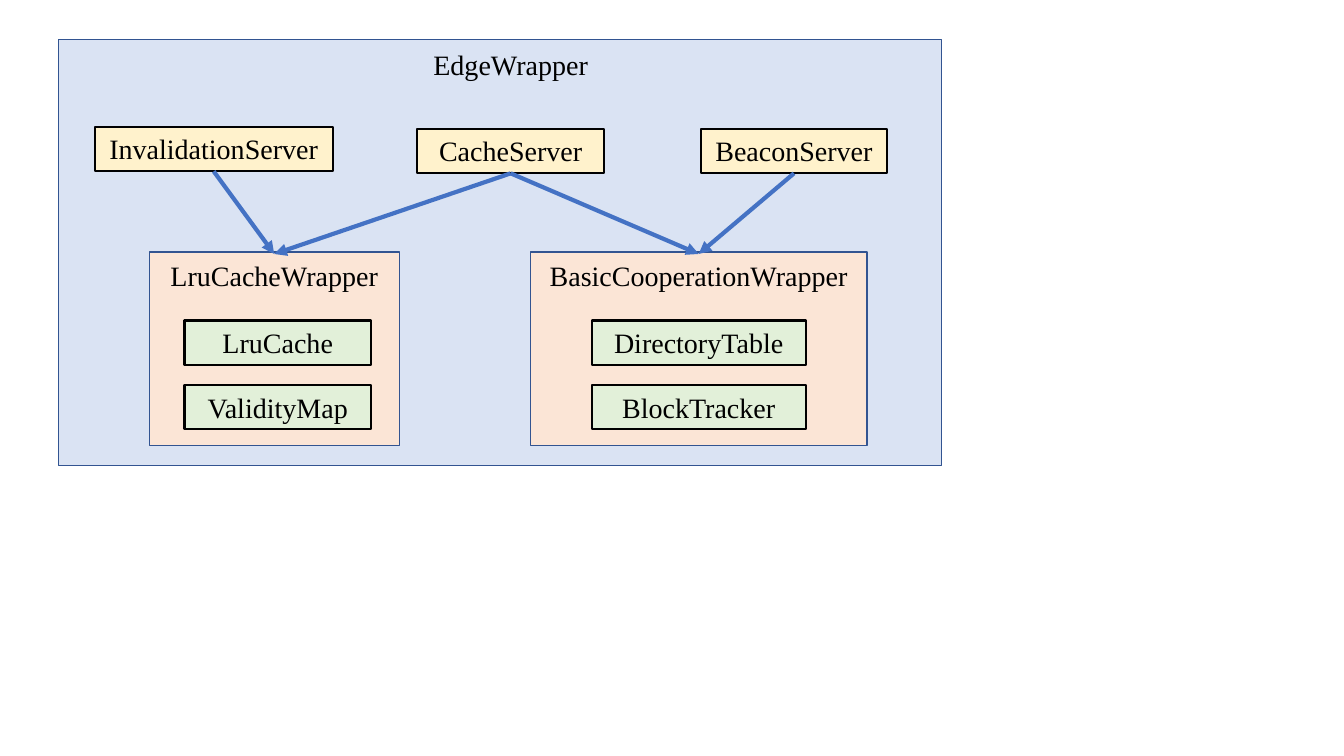
from dataclasses import dataclass

from lxml import etree
from pptx import Presentation
from pptx import util as u
from pptx.dml.color import RGBColor
from pptx.enum import shapes, text
from pptx.oxml.ns import qn
from pptx.shapes.base import BaseShape
from pptx.slide import Slide

COLOURS = {
    "edge": "DAE3F3",
    "server": "FFF2CC",
    "wrapper": "FBE5D6",
    "structure": "E2F0D9",
    "frame": "325491",
    "ink": "000000",
    "arrow": "4472C4",
}
FRAME_FORMAT = {
    "word_wrap": True,
    "auto_size": text.MSO_AUTO_SIZE.SHAPE_TO_FIT_TEXT,
    "vertical_anchor": text.MSO_ANCHOR.TOP,
}
FONT_FORMAT = {"name": "Times New Roman", "size": u.Pt(20)}
LABEL_HEIGHT = 0.44
TITLE_OFFSET = 0.02
STRUCTURE_OFFSET = 0.68
STRUCTURE_PITCH = 0.64


@dataclass(frozen=True)
class Server:
    """A server and the wrappers it calls."""
    name: str
    left: float
    top: float
    width: float
    calls: tuple[str, ...]


@dataclass(frozen=True)
class Wrapper:
    """A wrapper and the data structures stacked inside it."""
    name: str
    left: float
    width: float
    structure_left: float
    structure_width: float
    structures: tuple[str, ...]
    top: float = 2.5
    height: float = 1.92


SERVERS = (
    Server("BeaconServer", 6.95, 1.28, 1.85, ("BasicCooperationWrapper",)),
    Server("CacheServer", 4.14, 1.28, 1.85,
           ("LruCacheWrapper", "BasicCooperationWrapper")),
    Server("InvalidationServer", 0.94, 1.26, 2.36, ("LruCacheWrapper",)),
)
WRAPPERS = (
    Wrapper("LruCacheWrapper", 1.48, 2.48, 1.83, 1.85,
            ("LruCache", "ValidityMap")),
    Wrapper("BasicCooperationWrapper", 5.26, 3.34, 5.87, 2.12,
            ("DirectoryTable", "BlockTracker")),
)


def colour(role: str) -> RGBColor:
    """Return the colour of a role."""
    return RGBColor.from_string(COLOURS[role])


def write(holder: BaseShape, words: str) -> None:
    """Put one centred line of text into a shape."""
    frame = holder.text_frame
    for key, value in FRAME_FORMAT.items():
        setattr(frame, key, value)
    line = frame.paragraphs[0]
    line.alignment = text.PP_ALIGN.CENTER
    run = line.add_run()
    run.text = words
    for key, value in FONT_FORMAT.items():
        setattr(run.font, key, value)
    run.font.color.rgb = colour("ink")


def add_box(slide: Slide, left: float, top: float, width: float, height: float,
            fill: str, border: str, weight: float) -> BaseShape:
    """Draw a filled, outlined rectangle."""
    box = slide.shapes.add_shape(
        shapes.MSO_SHAPE.RECTANGLE,
        *map(u.Inches, (left, top, width, height)))
    box.shadow.inherit = False
    box.fill.solid()
    box.fill.fore_color.rgb = colour(fill)
    box.line.color.rgb = colour(border)
    box.line.width = u.Pt(weight)
    return box


def add_part(slide: Slide, name: str, left: float, top: float, width: float,
             fill: str) -> BaseShape:
    """Draw a named box for a server or a data structure."""
    part = add_box(slide, left, top, width, LABEL_HEIGHT, fill, "ink", 1.5)
    write(part, name)
    return part


def add_title(slide: Slide, name: str, left: float, top: float,
              width: float) -> BaseShape:
    """Draw the title of a frame."""
    title = slide.shapes.add_textbox(
        *map(u.Inches, (left, top, width, LABEL_HEIGHT)))
    write(title, name)
    return title


def add_wrapper(slide: Slide, wrapper: Wrapper) -> BaseShape:
    """Draw a wrapper with its structures and return its title."""
    add_box(slide, wrapper.left, wrapper.top, wrapper.width, wrapper.height,
            "wrapper", "frame", 1)
    title = add_title(slide, wrapper.name, wrapper.left,
                      wrapper.top + TITLE_OFFSET, wrapper.width)
    for row, name in enumerate(wrapper.structures):
        top = wrapper.top + STRUCTURE_OFFSET + row * STRUCTURE_PITCH
        add_part(slide, name, wrapper.structure_left, top,
                 wrapper.structure_width, "structure")
    return title


def add_call(slide: Slide, caller: BaseShape, callee: BaseShape) -> None:
    """Draw an arrow from the bottom of the caller to the top of the callee."""
    call = slide.shapes.add_connector(shapes.MSO_CONNECTOR.STRAIGHT, 0, 0, 0, 0)
    call.begin_connect(caller, 2)
    call.end_connect(callee, 0)
    call.line.color.rgb = colour("arrow")
    call.line.width = u.Pt(3)
    etree.SubElement(call.line._get_or_add_ln(), qn("a:tailEnd"),
                     type="triangle")
    etree.SubElement(call._element.spPr, qn("a:effectLst"))


def main() -> None:
    """Build the slide and save it."""
    deck = Presentation()
    deck.slide_width, deck.slide_height = u.Inches(13.33), u.Inches(7.5)
    slide = deck.slides.add_slide(deck.slide_layouts[6])

    add_box(slide, 0.58, 0.39, 8.76, 4.23, "edge", "frame", 1)
    add_title(slide, "EdgeWrapper", 4.14, 0.42, 1.85)
    callers = {
        server.name: add_part(slide, server.name, server.left, server.top,
                              server.width, "server")
        for server in SERVERS
    }
    callees = {wrapper.name: add_wrapper(slide, wrapper)
               for wrapper in WRAPPERS}
    for server in reversed(SERVERS):
        for name in server.calls:
            add_call(slide, callers[server.name], callees[name])

    deck.save("out.pptx")


main()
